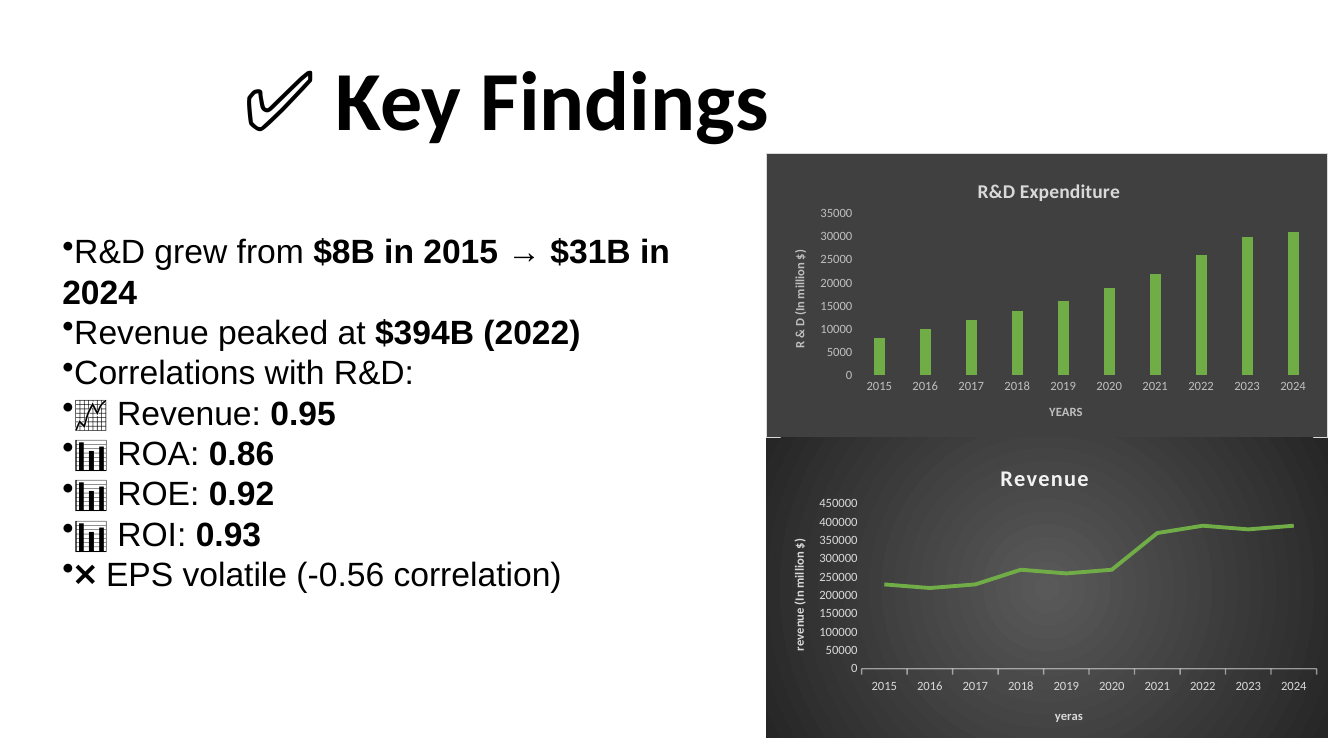
from dataclasses import dataclass

from lxml import etree
from pptx import Presentation
from pptx.chart.data import CategoryChartData
from pptx.dml.color import RGBColor
from pptx.enum.chart import XL_CHART_TYPE as ChartType, XL_TICK_MARK as Tick
from pptx.enum.text import MSO_ANCHOR as Anchor
from pptx.oxml import parse_xml
from pptx.oxml.ns import nsdecls, qn
from pptx.util import Inches, Pt

SLIDE_WIDTH, SLIDE_HEIGHT = Inches(13.33), Inches(7.5)


@dataclass(frozen=True)
class Theme:
    heading_font: str = "Calibri"
    body_font: str = "Arial"
    ink: str = "000000"
    accent: str = "70AD47"
    panel: str = "404040"
    border: str = "D9D9D9"
    glow: str = "595959"
    edge: str = "262626"
    axis_line: str = "F2F2F2"
    heading_size: int = 60
    body_size: int = 24
    label_size: int = 9


@dataclass(frozen=True)
class ChartPanel:
    kind: ChartType
    title: str
    title_size: int
    title_color: str
    title_spacing: int
    label_color: str
    axis_titles: tuple
    values: list
    maximum: int
    step: int
    title_at: tuple
    axis_titles_at: tuple
    plot_at: tuple


THEME = Theme()
YEARS = [str(year) for year in range(2015, 2025)]
FINDINGS = [
    ("R&D grew from ", "$8B in 2015 → $31B in 2024"),
    ("Revenue peaked at ", "$394B (2022)"),
    ("Correlations with R&D:", ""),
    ("📈 Revenue: ", "0.95"),
    ("📊 ROA: ", "0.86"),
    ("📊 ROE: ", "0.92"),
    ("📊 ROI: ", "0.93"),
    ("❌ EPS volatile (-0.56 correlation)", ""),
]
SPENDING = ChartPanel(
    ChartType.COLUMN_CLUSTERED, "R&D Expenditure", 14, "D9D9D9", 0, "BFBFBF",
    ("YEARS", "R & D (In million $)"),
    [8000, 10000, 12000, 14000, 16000, 19000, 22000, 26000, 30000, 31000],
    35000, 5000, (0.37, 0.07), ((0.5, 0.87), (0.04, 0.33)), (0.16, 0.21, 0.82, 0.57))
REVENUE = ChartPanel(
    ChartType.LINE, "Revenue", 16, "F2F2F2", 100, "D9D9D9",
    ("yeras", "revenue (In million $)"),
    [230000, 220000, 230000, 270000, 260000, 270000, 370000, 390000, 380000, 390000],
    450000, 50000, (0.41, 0.07), ((0.51, 0.89), (0.04, 0.33)), (0.17, 0.22, 0.81, 0.55))


def share(left, top, width, height):
    return (int(SLIDE_WIDTH * left), int(SLIDE_HEIGHT * top),
            int(SLIDE_WIDTH * width), int(SLIDE_HEIGHT * height))


def style_font(font, name, size, color, bold=None):
    font.name, font.size, font.bold = name, Pt(size), bold
    font.color.rgb = RGBColor.from_string(color)


def add_heading(slide, box, text):
    frame = slide.shapes.add_textbox(*box).text_frame
    frame.word_wrap = True
    para = frame.paragraphs[0]
    para.text = text
    style_font(para.font, THEME.heading_font, THEME.heading_size, THEME.ink, True)


def add_findings(slide, box, findings):
    frame = slide.shapes.add_textbox(*box).text_frame
    frame.word_wrap = True
    frame.vertical_anchor = Anchor.MIDDLE
    for index, (lead, figure) in enumerate(findings):
        para = frame.add_paragraph() if index else frame.paragraphs[0]
        style_font(para.font, THEME.body_font, THEME.body_size, THEME.ink)
        properties = para._p.get_or_add_pPr()
        properties.set("marL", "0")
        properties.set("indent", "0")
        bullet = etree.Element(qn("a:buChar"), char="•")
        properties.insert(0, bullet)
        para.add_run().text = lead
        if figure:
            span = para.add_run()
            span.text = figure
            span.font.bold = True


def make_layout(place, inner=False):
    target = '<c:layoutTarget val="inner"/>' if inner else ""
    modes = "".join(f'<c:{axis}Mode val="edge"/>' for axis in "xy")
    sizes = "".join(f'<c:{name} val="{value}"/>' for name, value in zip("xywh", place))
    return parse_xml(f'<c:layout {nsdecls("c")}><c:manualLayout>{target}{modes}{sizes}'
                     '</c:manualLayout></c:layout>')


def drop_layout(element):
    for layout in element.findall(qn("c:layout")):
        element.remove(layout)


def set_title(title, text, size, color, place, rotation=0, spacing=0):
    frame = title.text_frame
    para = frame.paragraphs[0]
    para.text = text
    style_font(para.font, THEME.heading_font, size, color, True)
    if spacing:
        para.runs[0].font._element.set("spc", str(spacing))
    frame._txBody.find(qn("a:bodyPr")).set("rot", str(rotation))
    element = title._element
    drop_layout(element)
    element.find(qn("c:tx")).addnext(make_layout(place))


def set_background(chart, fill, line):
    properties = parse_xml(f'<c:spPr {nsdecls("c", "a")}>{fill}{line}</c:spPr>')
    chart._chartSpace.find(qn("c:chart")).addnext(properties)


def solid(color):
    return f'<a:solidFill><a:srgbClr val="{color}"/></a:solidFill>'


def add_panel(slide, box, panel):
    data = CategoryChartData()
    data.categories = YEARS
    data.add_series("Series 1", panel.values)
    chart = slide.shapes.add_chart(panel.kind, *box, data).chart
    chart.has_legend = False
    style_font(chart.font, THEME.heading_font, 10, THEME.ink)
    chart.has_title = True
    set_title(chart.chart_title, panel.title, panel.title_size, panel.title_color,
              panel.title_at, spacing=panel.title_spacing)
    axes = (chart.category_axis, chart.value_axis)
    for axis, text, place, rotation in zip(
            axes, panel.axis_titles, panel.axis_titles_at, (0, -5400000)):
        axis.has_major_gridlines = False
        axis.major_tick_mark = axis.minor_tick_mark = Tick.NONE
        axis.format.line.fill.background()
        style_font(axis.tick_labels.font, THEME.heading_font, THEME.label_size, panel.label_color)
        axis.has_title = True
        set_title(axis.axis_title, text, THEME.label_size, panel.label_color, place, rotation)
    chart.value_axis.minimum_scale = 0
    chart.value_axis.maximum_scale = panel.maximum
    chart.value_axis.major_unit = panel.step
    plot_area = chart._chartSpace.find(qn("c:chart")).find(qn("c:plotArea"))
    drop_layout(plot_area)
    plot_area.insert(0, make_layout(panel.plot_at, inner=True))
    chart.plots[0].vary_by_categories = False
    return chart


def add_spending(slide, box):
    chart = add_panel(slide, box, SPENDING)
    plot = chart.plots[0]
    plot.gap_width, plot.overlap = 315, -40
    bars = plot.series[0].format
    bars.fill.solid()
    bars.fill.fore_color.rgb = RGBColor.from_string(THEME.accent)
    set_background(chart, solid(THEME.panel), f'<a:ln w="9525">{solid(THEME.border)}</a:ln>')


def add_revenue(slide, box):
    chart = add_panel(slide, box, REVENUE)
    series = chart.plots[0].series[0]
    series.smooth = False
    series.format.line.width = Pt(2.75)
    series.format.line.color.rgb = RGBColor.from_string(THEME.accent)
    axis = chart.category_axis
    axis.major_tick_mark = Tick.OUTSIDE
    axis.format.line.width = Pt(1)
    axis.format.line.color.rgb = RGBColor.from_string(THEME.axis_line)
    color = next(axis._element.find(qn("c:spPr")).iter(qn("a:srgbClr")))
    etree.SubElement(color, qn("a:alpha"), val="54000")
    stops = "".join(f'<a:gs pos="{position}"><a:srgbClr val="{shade}"/></a:gs>'
                    for position, shade in ((0, THEME.glow), (100000, THEME.edge)))
    glow = (f'<a:gradFill><a:gsLst>{stops}</a:gsLst><a:path path="circle">'
            '<a:fillToRect l="50000" t="50000" r="50000" b="50000"/></a:path></a:gradFill>')
    set_background(chart, glow, "<a:ln><a:noFill/></a:ln>")


def main():
    deck = Presentation()
    deck.slide_width, deck.slide_height = SLIDE_WIDTH, SLIDE_HEIGHT
    slide = deck.slides.add_slide(deck.slide_layouts[6])
    add_heading(slide, share(0.174, 0.055, 0.5, 0.148), "✅ Key Findings")
    add_findings(slide, share(0.039, 0.295, 0.5, 0.499), FINDINGS)
    add_spending(slide, share(0.57, 0.203, 0.418, 0.377))
    add_revenue(slide, share(0.57, 0.579, 0.418, 0.397))
    deck.save("out.pptx")


if __name__ == "__main__":
    main()
